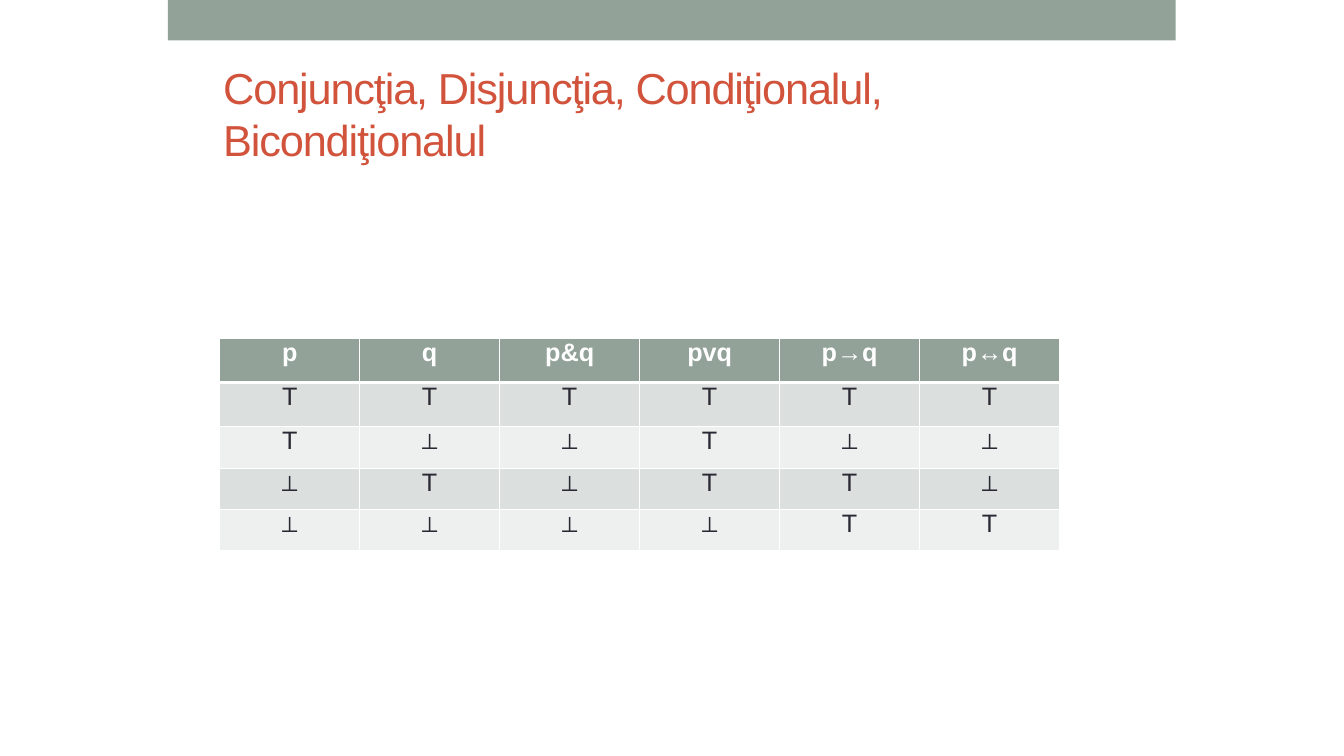
from pptx import Presentation
from pptx.dml.color import RGBColor as RGB
from pptx.enum.shapes import MSO_SHAPE as Shape
from pptx.enum.text import MSO_ANCHOR as Anchor, MSO_AUTO_SIZE as Fit, PP_ALIGN as Align
from pptx.oxml import parse_xml
from pptx.oxml.ns import nsdecls
from pptx.util import Inches, Pt

UNIT = 15 / 18  # the slide is a grid of 32 columns by 18 rows
SAGE, RUST, INK, WHITE = "93A299", "D2533C", "292934", "FFFFFF"
BANDS = "DBDFDD", "EEF0EF"
SIDES = ("lnL", "lnR", "lnT", "lnB")
INSETS = ("margin_left", "margin_top", "margin_right", "margin_bottom")


def hue(code):
    """Turn a hex string into a colour."""
    return RGB.from_string(code)


def grid(count):
    """Turn grid units into a length."""
    return Inches(round(count * UNIT, 2))


def put(item, values):
    """Set each attribute named in a dict."""
    for name, value in values.items():
        setattr(item, name, value)


def paint(item, code):
    """Fill an item with one solid colour."""
    item.fill.solid()
    item.fill.fore_color.rgb = hue(code)


class Deck:
    """Holds the style and the current slide."""

    font = "Arial"

    def __init__(self):
        """Open a deck with one title-only slide."""
        self.file = Presentation()
        put(self.file, {"slide_width": grid(32), "slide_height": grid(18)})
        self.slide = self.file.slides.add_slide(self.file.slide_layouts[5])

    def text(self, para, words, size, code, bold=False):
        """Add one styled run to a paragraph."""
        run = para.add_run()
        run.text = words
        put(run.font, {"name": self.font, "size": Pt(size), "bold": bold})
        run.font.color.rgb = hue(code)
        return run

    def bar(self, *box):
        """Draw a plain bar."""
        bar = self.slide.shapes.add_shape(Shape.RECTANGLE, *map(grid, box))
        bar.shadow.inherit = False
        paint(bar, SAGE)
        bar.line.fill.background()

    def title(self, words, *box):
        """Place and fill the title."""
        title = self.slide.shapes.title
        put(title, dict(zip(("left", "top", "width", "height"), map(grid, box))))
        frame = title.text_frame
        put(frame, {"word_wrap": True, "auto_size": Fit.NONE,
                    "vertical_anchor": Anchor.MIDDLE})
        put(frame, dict.fromkeys(INSETS, Inches(0.1)))
        para = frame.paragraphs[0]
        para.alignment = Align.LEFT
        run = self.text(para, words, 61.9, RUST)
        run._r.get_or_add_rPr().set("spc", "-170")

    def edge(self, cell, widths):
        """Draw the four white borders of a cell."""
        props = cell._tc.get_or_add_tcPr()
        for spot, (side, width) in enumerate(zip(SIDES, widths)):
            props.insert(spot, parse_xml(
                f'<a:{side} {nsdecls("a")} w="{Pt(width)}"><a:solidFill>'
                f'<a:srgbClr val="{WHITE}"/></a:solidFill></a:{side}>'))

    def cell(self, cell, words, row):
        """Format one cell according to its row."""
        head = row == 0
        put(cell, dict.fromkeys(INSETS, Inches(0.05)))
        paint(cell, SAGE if head else BANDS[(row - 1) % 2])
        para = cell.text_frame.paragraphs[0]
        put(para, {"alignment": Align.CENTER, "line_spacing": 0.9})
        self.text(para, words, 36, WHITE if head else INK, head)
        self.edge(cell, (2, 2, 6 if row == 1 else 2, 6 if head else 2))

    def table(self, rows, highs, left, top, width):
        """Draw a table with equal columns."""
        box = map(grid, (left, top, width, sum(highs)))
        table = self.slide.shapes.add_table(len(rows), len(rows[0]), *box).table
        for row, (line, high) in enumerate(zip(rows, highs)):
            table.rows[row].height = grid(high)
            for col, words in enumerate(line):
                self.cell(table.cell(row, col), words, row)


TRUTH = [line.split() for line in (
    "p q p&q pvq p→q p↔q",
    "T T T T T T",
    "T ⊥ ⊥ T ⊥ ⊥",
    "⊥ T ⊥ T T ⊥",
    "⊥ ⊥ ⊥ ⊥ T T",
)]

deck = Deck()
deck.bar(4, 0, 24, 0.96)
deck.title("Conjuncţia, Disjuncţia, Condiţionalul, Bicondiţionalul",
           5.2, 1.4, 21.6, 2.6)
deck.table(TRUTH, [1.06] * 2 + [0.98] * 3, 5.23, 8.05, 20)
deck.file.save("out.pptx")
